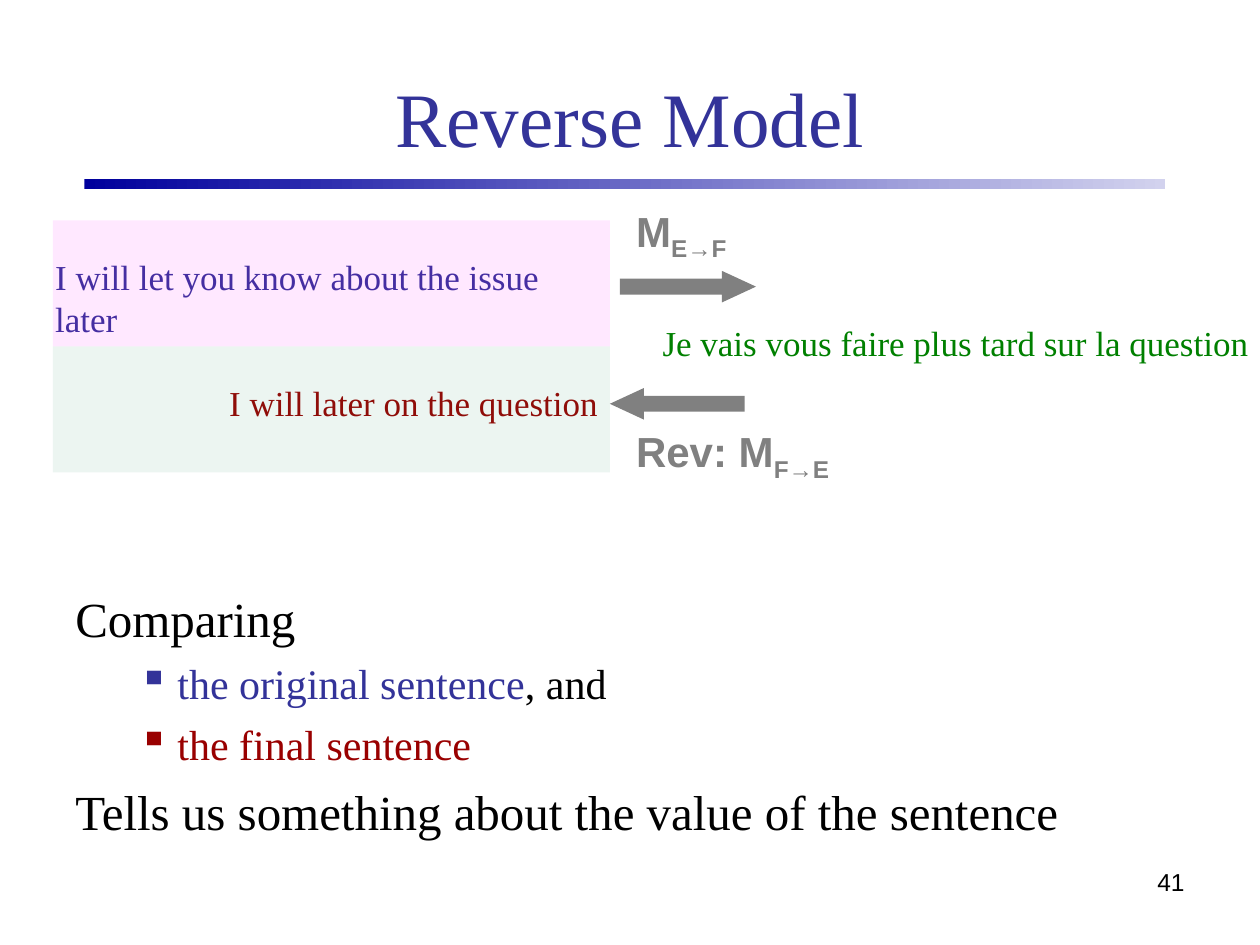
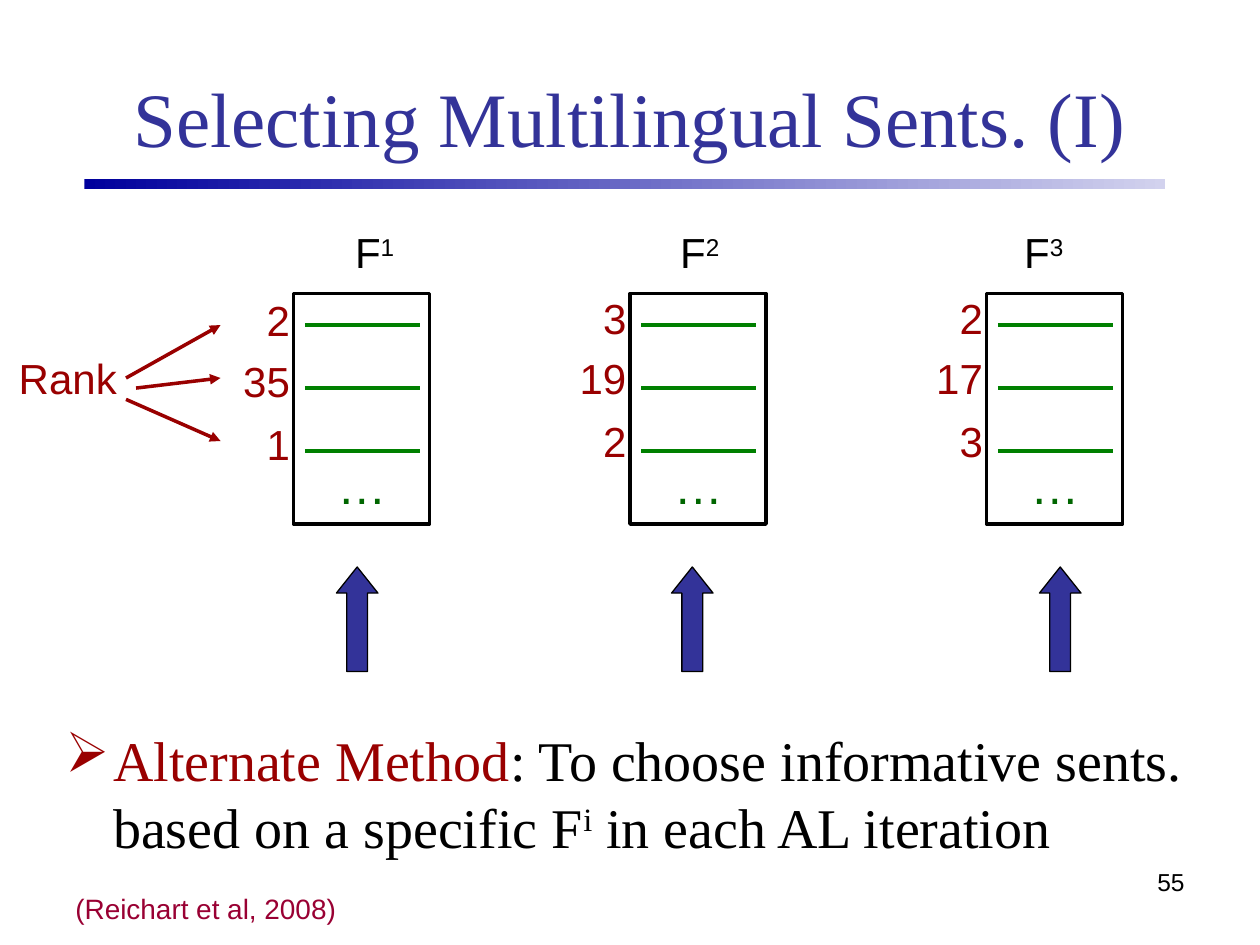
"""Build two slides on reverse translation models and multilingual sentence selection."""
import pptx
import pptx.util
import pptx.dml.color
import pptx.enum.shapes
import pptx.enum.text
import pptx.oxml.ns
from lxml import etree

Inches, Pt = pptx.util.Inches, pptx.util.Pt
RGBColor = pptx.dml.color.RGBColor
SHAPE = pptx.enum.shapes.MSO_SHAPE
ALIGN = pptx.enum.text.PP_ALIGN
qn = pptx.oxml.ns.qn

BLACK = RGBColor(0x00, 0x00, 0x00)
INDIGO = RGBColor(0x33, 0x33, 0x99)
RED = RGBColor(0x99, 0x00, 0x00)
CRIMSON = RGBColor(0x99, 0x00, 0x33)
GREEN = RGBColor(0x00, 0x80, 0x00)
DARK_GREEN = RGBColor(0x00, 0x66, 0x00)
GRAY = RGBColor(0x80, 0x80, 0x80)
MAGENTA = RGBColor(0xFF, 0x00, 0xFF)
SEA_GREEN = RGBColor(0x33, 0x99, 0x66)
BAND_COLORS = (RGBColor(0x00, 0x00, 0x9C), RGBColor(0xD2, 0xD2, 0xEE))
SERIF, SANS = "Times New Roman", "Arial"

SENTENCES = [
    ("I will let you know about the issue later", INDIGO, (0.34, 1.98, 4.6, 0.44)),
    ("Je vais vous faire plus tard sur la question", GREEN, (5.16, 2.5, 4.85, 0.44)),
    ("I will later on the question", RED, (1.72, 2.98, 3.2, 0.44)),
]
MODELS = [
    ("M", "E→F", (4.95, 1.58, 0.92, 0.56), SHAPE.RIGHT_ARROW, (4.92, 2.15, 1.08, 0.25)),
    ("Rev: M", "F→E", (4.95, 3.33, 1.73, 0.56), SHAPE.LEFT_ARROW, (4.84, 3.08, 1.07, 0.25)),
]
TINTS = [(MAGENTA, 1.75), (SEA_GREEN, 2.75)]
COMPARISON = [
    (28, 0, None, [("Comparing", BLACK)]),
    (24, 6, INDIGO, [("the original sentence", INDIGO), (", and", BLACK)]),
    (24, 6, RED, [("the final sentence", RED)]),
    (28, 7, None, [("Tells us something about the value of the sentence", BLACK)]),
]

LANGUAGES = [
    {"number": "1", "ranks": ("2", "35", "1"), "frame": 2.33, "label": 2.72, "arrow": 2.67, "drop": 0.02},
    {"number": "2", "ranks": ("3", "19", "2"), "frame": 5.0, "label": 5.3, "arrow": 5.33, "drop": 0},
    {"number": "3", "ranks": ("2", "17", "3"), "frame": 7.83, "label": 8.03, "arrow": 8.25, "drop": 0},
]
RANK_TOPS = (2.27, 2.75, 3.25)
RANK_POINTERS = [((1, 3), (1.75, 2.58)), ((1.08, 3.08), (1.75, 3)), ((1, 3.17), (1.75, 3.5))]
METHOD = [
    ("Alternate Method", RED),
    (": To choose informative sents. based on a specific F", BLACK),
    ("i", BLACK, 30),
    (" in each AL iteration", BLACK),
]


def lengths(place):
    return [Inches(value) for value in place]


def add_spans(para, spans, size, font, bold=False):
    for text, color, *baseline in spans:
        span = para.add_run()
        span.text = text
        span.font.size, span.font.name, span.font.bold = Pt(size), font, bold
        span.font.color.rgb = color
        if baseline:
            span.font._element.set("baseline", str(baseline[0] * 1000))


def add_text(page, place, spans, size, font=SANS, align=ALIGN.LEFT, wrap=False, bold=False):
    box = page.shapes.add_textbox(*lengths(place))
    box.text_frame.word_wrap = wrap
    para = box.text_frame.paragraphs[0]
    para.alignment = align
    add_spans(para, spans, size, font, bold)
    return box


def add_bullet(para, mark, color, margin, indent):
    properties = para._p.get_or_add_pPr()
    properties.set("marL", str(Inches(margin)))
    properties.set("indent", str(Inches(indent)))
    holder = etree.SubElement(properties, qn("a:buClr"))
    etree.SubElement(holder, qn("a:srgbClr")).set("val", str(color))
    etree.SubElement(properties, qn("a:buChar")).set("char", mark)


def add_block(page, kind, place, fill=None, line=None, width=1, opacity=None):
    block = page.shapes.add_shape(kind, *lengths(place))
    block.shadow.inherit = False
    if fill is None:
        block.fill.background()
    else:
        block.fill.solid()
        block.fill.fore_color.rgb = fill
    if opacity:
        color = block._element.spPr.find(".//" + qn("a:srgbClr"))
        etree.SubElement(color, qn("a:alpha")).set("val", str(opacity * 1000))
    if line is None:
        block.line.fill.background()
    else:
        block.line.color.rgb = line
        block.line.width = Pt(width)
    return block


def add_line(page, start, end, color, width, arrow=False):
    line = page.shapes.add_connector(
        pptx.enum.shapes.MSO_CONNECTOR.STRAIGHT, *lengths(start + end))
    line.line.color.rgb = color
    line.line.width = Pt(width)
    if arrow:
        etree.SubElement(line.line._get_or_add_ln(), qn("a:tailEnd")).set("type", "triangle")
    etree.SubElement(line._element.spPr, qn("a:effectLst"))


def add_page(deck, title, number):
    page = deck.slides.add_slide(deck.slide_layouts[6])
    heading = add_text(page, (0.5, 0.3, 9, 1.25), [(title, INDIGO)], 44, SERIF, ALIGN.CENTER, True)
    heading.text_frame.vertical_anchor = pptx.enum.text.MSO_ANCHOR.MIDDLE
    band = add_block(page, SHAPE.RECTANGLE, (0.67, 1.42, 8.58, 0.08))
    band.fill.gradient()
    band.fill.gradient_angle = 0
    for stop, color in zip(band.fill.gradient_stops, BAND_COLORS):
        stop.color.rgb = color
    add_text(page, (7.17, 6.83, 2.33, 0.52), [(number, BLACK)], 14, SANS, ALIGN.RIGHT, True)
    return page


def build_reverse_model(deck):
    page = add_page(deck, "Reverse Model", "41")
    body = page.shapes.add_textbox(*lengths((0.5, 4.62, 9, 2.29))).text_frame
    body.word_wrap = True
    for index, (size, before, bullet, spans) in enumerate(COMPARISON):
        para = body.add_paragraph() if index else body.paragraphs[0]
        if bullet is not None:
            para.level = 1
            add_bullet(para, "▪", bullet, 0.81, -0.31)
        para.space_before = Pt(before)
        add_spans(para, spans, size, SERIF)
    for text, color, place in SENTENCES:
        add_text(page, place, [(text, color)], 20, SERIF)
    for name, direction, place, kind, arrow_place in MODELS:
        add_text(page, place, [(name, GRAY), (direction, GRAY, -25)], 24, bold=True)
        arrow = add_block(page, kind, arrow_place, GRAY)
        arrow.adjustments[1] = 1.08
    for color, top in TINTS:
        add_block(page, SHAPE.RECTANGLE, (0.42, top, 4.42, 1), color, opacity=9)


def build_language(page, language):
    left = language["frame"]
    add_block(page, SHAPE.RECTANGLE, (left, 2.33, 1.08, 1.83), line=BLACK, width=2)
    add_text(page, (language["label"], 1.75, 0.6, 0.5),
             [("F", BLACK), (language["number"], BLACK, 30)], 24)
    for index, (rank, top) in enumerate(zip(language["ranks"], RANK_TOPS)):
        height = 2.58 + 0.5 * index
        add_line(page, (left + 0.09, height), (left + 1, height), GREEN, 2.25)
        add_text(page, (left - 0.5, top + language["drop"], 0.57, 0.5),
                 [(rank, RED)], 24, align=ALIGN.RIGHT)
    add_text(page, (left + 0.25, 3.57, 0.59, 0.57), [("…", DARK_GREEN)], 28)
    arrow = add_block(page, SHAPE.UP_ARROW, (language["arrow"], 4.5, 0.33, 0.83), INDIGO, BLACK, 0.75)
    arrow.adjustments[1] = 0.63


def build_selection(deck):
    page = add_page(deck, "Selecting Multilingual Sents. (I)", "55")
    body = add_text(page, (0.42, 5.71, 9.17, 1.2), [], 32, SERIF, wrap=True)
    method = body.text_frame.paragraphs[0]
    add_bullet(method, "➢", RED, 0.38, -0.38)
    add_spans(method, METHOD, 32, SERIF)
    for language in LANGUAGES:
        build_language(page, language)
    add_text(page, (0.05, 2.75, 0.98, 0.5), [("Rank", RED)], 24)
    for start, end in RANK_POINTERS:
        add_line(page, start, end, RED, 2, arrow=True)
    add_text(page, (0.5, 7.03, 2.27, 0.37), [("(Reichart et al, 2008)", CRIMSON)], 16)


def main():
    deck = pptx.Presentation()
    deck.slide_width, deck.slide_height = Inches(10), Inches(7.5)
    build_reverse_model(deck)
    build_selection(deck)
    deck.save("out.pptx")


if __name__ == "__main__":
    main()
